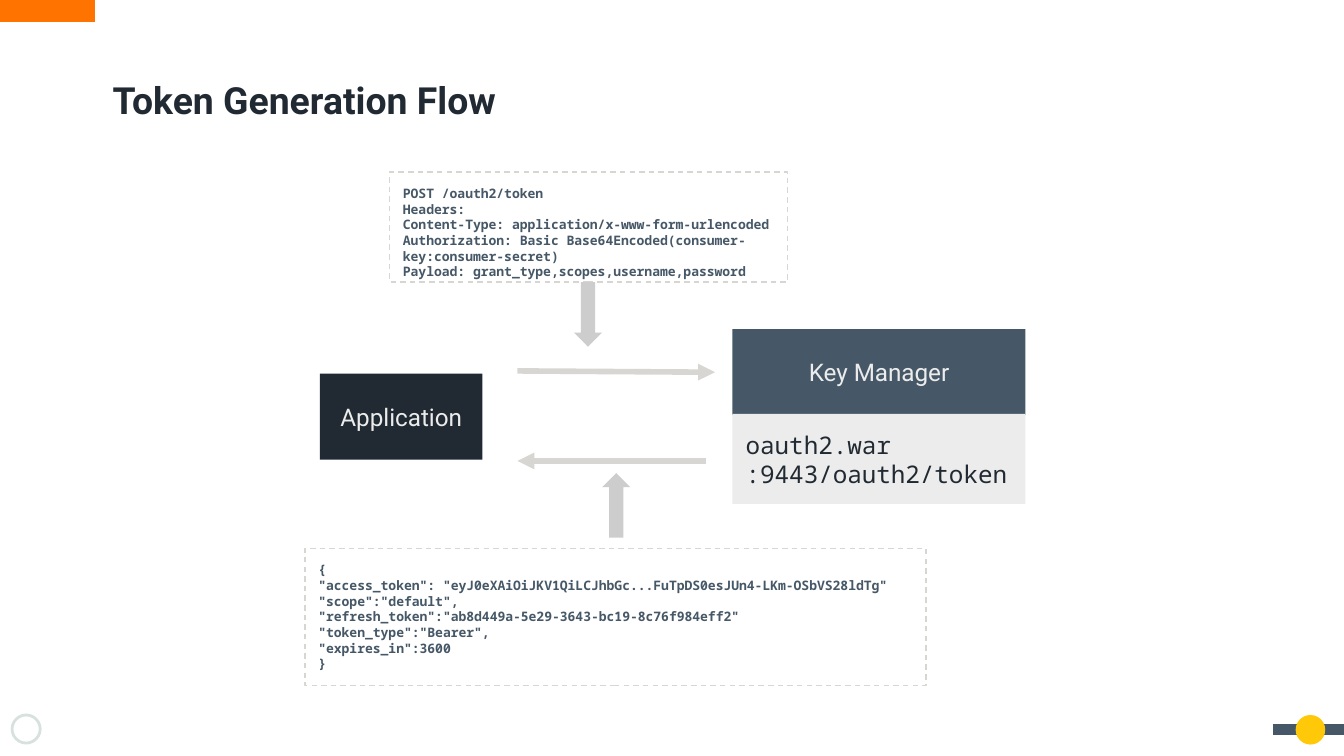
from copy import deepcopy
from lxml.etree import SubElement
from pptx import Presentation
from pptx.dml.color import RGBColor
from pptx.enum.dml import MSO_LINE
from pptx.enum.shapes import MSO_CONNECTOR, MSO_SHAPE as Preset
from pptx.enum.text import MSO_ANCHOR as Anchor, PP_ALIGN as Align
from pptx.oxml.ns import qn
from pptx.util import Inches, Pt

ORANGE = RGBColor(0xFF, 0x73, 0x00)
YELLOW = RGBColor(0xFF, 0xC8, 0x08)
NAVY = RGBColor(0x21, 0x2A, 0x32)
SLATE = RGBColor(0x46, 0x58, 0x67)
PALE = RGBColor(0xEC, 0xEC, 0xEC)
SAND = RGBColor(0xD8, 0xD6, 0xD2)
SILVER = RGBColor(0xCD, 0xCD, 0xCD)
MINT = RGBColor(0xD7, 0xE2, 0xDE)

TITLE = {"name": "Roboto", "size": Pt(20), "bold": True}
LABEL = {"name": "Roboto", "size": Pt(13)}
ENDPOINT = {"name": "Noto Sans Mono", "size": Pt(13)}
CODE = {"name": "Noto Sans Mono", "size": Pt(7), "bold": True}

REQUEST = [
    "POST /oauth2/token",
    "Headers:",
    "Content-Type: application/x-www-form-urlencoded",
    "Authorization: Basic Base64Encoded(consumer-key:consumer-secret)",
    "Payload: grant_type,scopes,username,password",
]
RESPONSE = [
    "{",
    '"access_token": "eyJ0eXAiOiJKV1QiLCJhbGc...FuTpDS0esJUn4-LKm-OSbVS28ldTg"',
    '"scope":"default",\n"refresh_token":"ab8d449a-5e29-3643-bc19-8c76f984eff2"',
    '"token_type":"Bearer",',
    '"expires_in":3600',
    "}",
]


def write_run(paragraph, text, font, color):
    """Add a formatted run to a paragraph and return it."""
    run = paragraph.add_run()
    run.text = text
    for name, value in font.items():
        setattr(run.font, name, value)
    run.font.color.rgb = color
    return run


def write(shape, lines, font, color, align=Align.LEFT, anchor=Anchor.MIDDLE):
    """Fill a shape with one paragraph per line, breaking lines at newlines."""
    frame = shape.text_frame
    layout = {"word_wrap": True, "vertical_anchor": anchor}
    layout.update({f"margin_{side}": Inches(0.1) for side in ("left", "right", "top", "bottom")})
    for name, value in layout.items():
        setattr(frame, name, value)
    for index, line in enumerate(lines):
        paragraph = frame.paragraphs[0] if index == 0 else frame.add_paragraph()
        paragraph.alignment = align
        first, *others = line.split("\n")
        run = write_run(paragraph, first, font, color)
        for other in others:
            paragraph.add_line_break()
            paragraph._p[-1].append(deepcopy(run._r.rPr))
            write_run(paragraph, other, font, color)


def add_block(shapes, preset, box, fill=None):
    """Add a flat preset shape without outline, filled if a colour is given."""
    block = shapes.add_shape(preset, *map(Inches, box))
    block.shadow.inherit = False
    block.line.fill.background()
    if fill is None:
        block.fill.background()
    else:
        block.fill.solid()
        block.fill.fore_color.rgb = fill
    return block


def add_message(shapes, box, lines):
    """Add a dashed box holding the text of an HTTP message."""
    message = add_block(shapes, Preset.RECTANGLE, box)
    message.line.color.rgb = SAND
    message.line.width = Pt(0.75)
    message.line.dash_style = MSO_LINE.DASH
    write(message, lines, CODE, SLATE, anchor=Anchor.TOP)


def add_line(shapes, start, end, color, width, arrow=False):
    """Add a straight line, with an arrowhead at its end on request."""
    line = shapes.add_connector(MSO_CONNECTOR.STRAIGHT, *map(Inches, start + end))
    line.line.color.rgb = color
    line.line.width = Pt(width)
    if arrow:
        SubElement(line.line._get_or_add_ln(), qn("a:tailEnd"), type="triangle")
    SubElement(line._element.spPr, qn("a:effectLst"))


def add_decoration(shapes):
    """Add the corner accents and a plain ring as the emblem."""
    add_line(shapes, (-0.03, 0.08), (0.71, 0.08), ORANGE, 12)
    add_line(shapes, (9.47, 5.43), (10.04, 5.43), SLATE, 6)
    add_block(shapes, Preset.OVAL, (9.64, 5.32, 0.22, 0.22), YELLOW)
    emblem = add_block(shapes, Preset.DONUT, (0.08, 5.31, 0.23, 0.23), MINT)
    emblem.adjustments[0] = 0.09


def add_key_manager(shapes):
    """Add the key manager with its endpoint as one group."""
    parts = shapes.add_group_shape().shapes
    manager = add_block(parts, Preset.RECTANGLE, (5.45, 2.45, 2.18, 0.64), SLATE)
    write(manager, ["Key Manager"], LABEL, PALE, Align.CENTER)
    endpoint = add_block(parts, Preset.RECTANGLE, (5.45, 3.08, 2.18, 0.67), PALE)
    write(endpoint, ["oauth2.war", ":9443/oauth2/token"], ENDPOINT, NAVY)


def main():
    """Build the token generation slide."""
    deck = Presentation()
    deck.slide_width = Inches(10)
    deck.slide_height = Inches(10 * 9 / 16)
    shapes = deck.slides.add_slide(deck.slide_layouts[6]).shapes

    add_decoration(shapes)
    title = shapes.add_textbox(*map(Inches, (0.74, 0.5, 8.51, 0.48)))
    write(title, ["Token Generation Flow"], TITLE, NAVY)

    application = add_block(shapes, Preset.RECTANGLE, (2.38, 2.78, 1.21, 0.64), NAVY)
    write(application, ["Application"], LABEL, PALE, Align.CENTER)
    add_key_manager(shapes)

    add_line(shapes, (3.85, 2.76), (5.32, 2.77), SAND, 3, arrow=True)
    add_line(shapes, (5.25, 3.43), (3.85, 3.43), SAND, 3, arrow=True)
    add_message(shapes, (2.9, 1.28, 2.96, 0.82), REQUEST)
    add_message(shapes, (2.27, 4.08, 4.62, 1.02), RESPONSE)
    for left, top, turn in ((4.27, 2.1, 0), (4.48, 3.52, 180)):
        pointer = add_block(shapes, Preset.DOWN_ARROW, (left, top, 0.21, 0.48), SILVER)
        pointer.rotation = turn

    deck.save("out.pptx")


if __name__ == "__main__":
    main()
